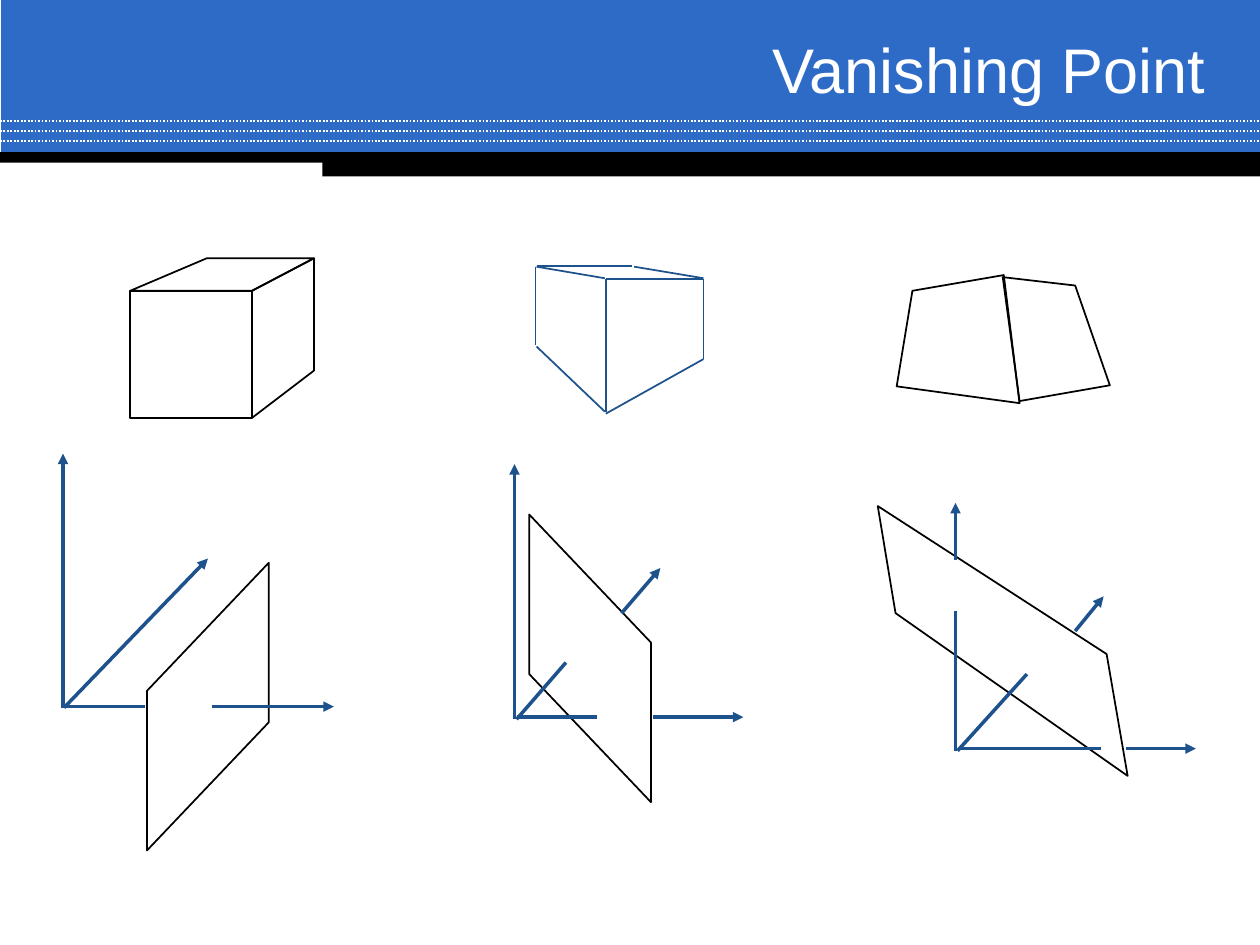
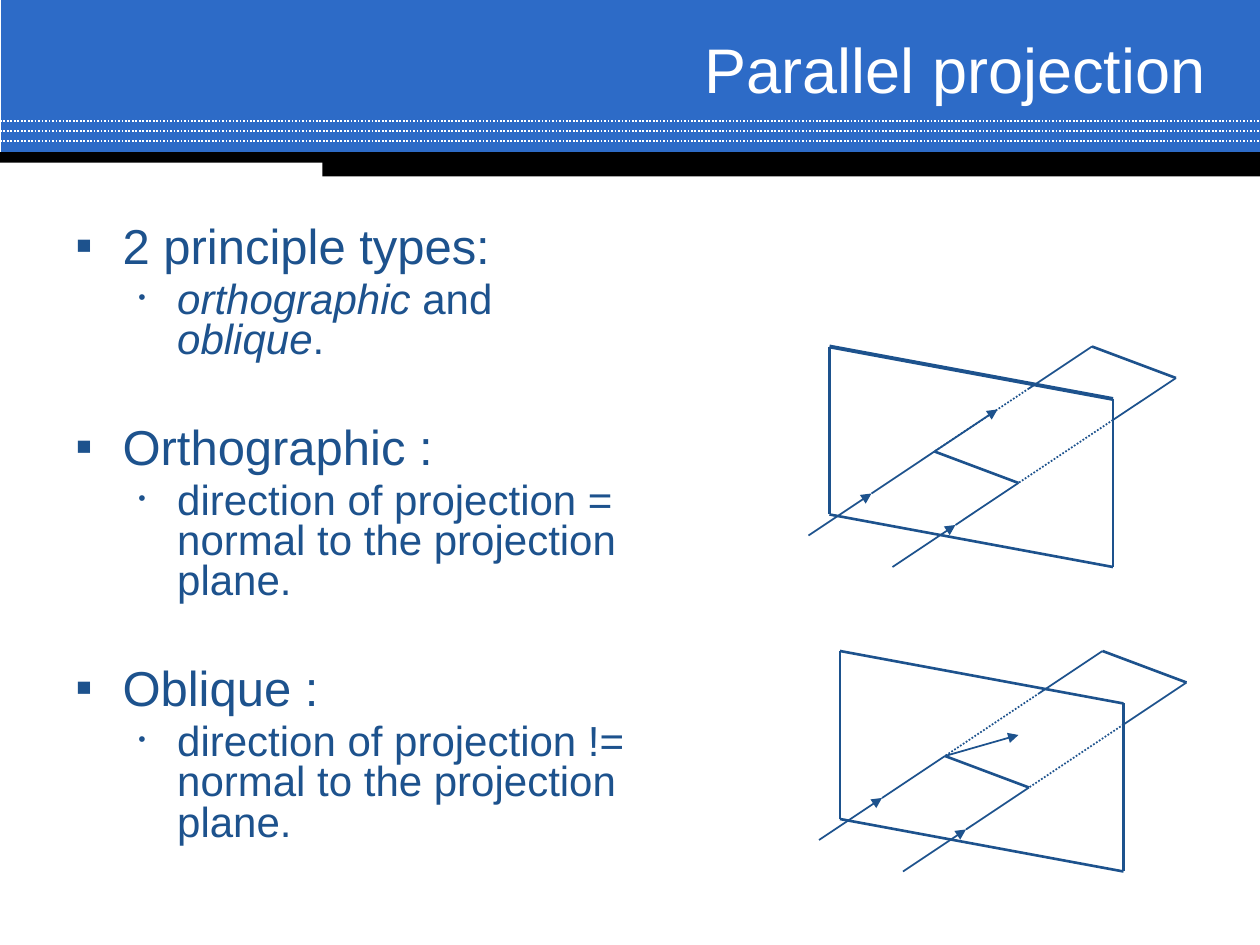
from lxml.etree import SubElement
from pptx import Presentation
from pptx.dml.color import RGBColor
from pptx.enum.dml import MSO_LINE
from pptx.enum.shapes import MSO_CONNECTOR, MSO_SHAPE
from pptx.enum.text import MSO_ANCHOR, PP_ALIGN
from pptx.oxml.ns import qn
from pptx.util import Emu, Inches, Pt

# Shared look and a grid of 120 columns by 90 rows
NAVY, BLUE, BLACK, WHITE = "1D528D", "2D6BC7", "000000", "FFFFFF"
FONT = "Arial"
color = RGBColor.from_string

deck = Presentation()
deck.slide_width, deck.slide_height = Inches(10), Inches(7.5)
CELL = deck.slide_width / 120


def cells(*counts):
    return [Emu(round(count * CELL)) for count in counts]


def draw_line(page, ends, hue=NAVY, weight=1, arrow=False, dotted=False):
    line = page.shapes.add_connector(MSO_CONNECTOR.STRAIGHT, *cells(*ends))
    line.line.color.rgb = color(hue)
    line.line.width = Pt(weight)
    if dotted:
        line.line.dash_style = MSO_LINE.ROUND_DOT
    properties = line._element.spPr
    if arrow:
        SubElement(properties.find(qn("a:ln")), qn("a:tailEnd"), type="triangle")
    SubElement(properties, qn("a:effectLst"))


# Header band and title on every slide
pages = []
for title in ("Vanishing Point", "Parallel projection"):
    page = deck.slides.add_slide(deck.slide_layouts[6])
    pages.append(page)
    for hue, area in ((BLUE, (0.12, 0, 119.88, 14.76)),
                      (BLACK, (0, 14.5, 120, 1)),
                      (BLACK, (30.7, 14.9, 89.3, 1.9))):
        band = page.shapes.add_shape(MSO_SHAPE.RECTANGLE, *cells(*area))
        band.shadow.inherit = False
        band.fill.solid()
        band.fill.fore_color.rgb = color(hue)
        band.line.fill.background()
    for row in (11.5, 12.5, 13.45):
        draw_line(page, (0, row, 120, row), WHITE, dotted=True)

    box = page.shapes.add_textbox(*cells(33, 3, 83, 7))
    box.text_frame.word_wrap = True
    box.text_frame.vertical_anchor = MSO_ANCHOR.MIDDLE
    para = box.text_frame.paragraphs[0]
    para.text = title
    para.alignment = PP_ALIGN.RIGHT
    para.font.name, para.font.size = FONT, Pt(36)
    para.font.color.rgb = color(WHITE)

vanishing, parallel = pages

# Vanishing point: faces of the solids, then the projection planes
outlines = (
    ((12.4, 27.7), (12.4, 39.8), (24, 39.8), (24, 27.7)),
    ((24, 39.8), (29.9, 35.3), (29.9, 24.6), (24, 27.7)),
    ((12.4, 27.7), (24, 27.7), (29.9, 24.6), (19.7, 24.6)),
    ((97.1, 38.4), (85.4, 36.8), (86.9, 27.7), (95.6, 26.2)),
    ((95.5, 26.4), (102.4, 27.2), (105.7, 36.7), (97.1, 38.2)),
    ((25.6, 68.8), (14, 81), (14, 65.8), (25.6, 53.6)),
    ((50.4, 64.2), (62, 76.4), (62, 61.2), (50.4, 49)),
    ((107.4, 73.9), (85.3, 58.4), (83.6, 48.2), (105.4, 62.3)),
)
for first, *others in outlines:
    builder = vanishing.shapes.build_freeform(*cells(*first))
    builder.add_line_segments([cells(*point) for point in others], close=True)
    face = builder.convert_to_shape()
    face.shadow.inherit = False
    face.fill.background()
    face.line.color.rgb = color(BLACK)
    face.line.width = Pt(1)

# Edges of the middle solid
for edge in (
    (57.7, 26.6, 57.7, 39.2), (51, 25.4, 51, 32.9), (67, 26.6, 67, 34.2),
    (51.1, 25.4, 57.6, 26.5), (51.1, 33, 57.6, 39.2), (57.7, 26.6, 67, 26.6),
    (57.7, 39.4, 67, 34.2), (51.1, 25.3, 60.2, 25.3), (60.4, 25.4, 67, 26.5),
):
    draw_line(vanishing, edge)

# Axes: plain parts up to a plane, arrows beyond it
plain_axes = (
    (6.1, 67.3, 13.8, 67.3),
    (49.2, 68.3, 56.9, 68.3), (49.2, 68.5, 53.9, 63.1),
    (91, 71.5, 91, 58.2), (91.2, 71.5, 97.8, 64.2), (91.2, 71.3, 104.9, 71.3),
)
arrow_axes = (
    (6, 67.4, 6, 43.2), (6.1, 67.4, 19.8, 53.2), (20.2, 67.3, 31.8, 67.3),
    (49, 68.5, 49, 44.2), (62.2, 68.3, 70.8, 68.3), (59.2, 58.4, 62.9, 54.1),
    (91, 53.3, 91, 47.9), (102.4, 60.1, 105.1, 56.8), (107.2, 71.3, 113.9, 71.3),
)
for axes, arrow in ((plain_axes, False), (arrow_axes, True)):
    for axis in axes:
        draw_line(vanishing, axis, weight=2, arrow=arrow)

# Parallel projection: types and their definitions (text, italic)
topics = (
    ("2 principle types:",
     (("orthographic", True), (" and ", False), ("oblique", True), (".", False))),
    ("Orthographic :",
     (("direction of projection = normal to the projection plane.", False),)),
    ("Oblique :",
     (("direction of projection != normal to the projection plane.", False),)),
)
box = parallel.shapes.add_textbox(*cells(6, 21, 55, 62))
frame = box.text_frame
frame.word_wrap = True
for number, (heading, definition) in enumerate(topics):
    for level, spans in enumerate((((heading, False),), definition)):
        para = frame.add_paragraph() if number or level else frame.paragraphs[0]
        para.level = level
        para.line_spacing = 0.8
        size, indent, hang, bullet = ((28, 4.5, 4.5, "▪"), (24, 9.7, 3.7, "•"))[level]
        para.space_before = Pt(37 if number and not level else size / 5)
        properties = para._p.get_or_add_pPr()
        left, back = cells(indent, -hang)
        properties.set("marL", str(left))
        properties.set("indent", str(back))
        if level:
            SubElement(properties, qn("a:buSzPct"), val="50000")
        SubElement(properties, qn("a:buFont"), typeface=FONT)
        SubElement(properties, qn("a:buChar"), char=bullet)
        para.font.name, para.font.size = FONT, Pt(size)
        para.font.color.rgb = color(NAVY)
        for text, italic in spans:
            span = para.add_run()
            span.text = text
            if italic:
                span.font.italic = True

# Two diagrams alike but for the top edge and the plane's normal
frame_edges = ((0, 16, 27, 21), (0, 0, 0, 16), (27, 5, 27, 21),
               (10, 10, 18, 13), (25, 0, 33, 3))
hidden_rays = ((19, 4, 10, 10), (27, 7, 18, 13))
visible_rays = ((4, 14, 10, 10), (12, 17, 18, 13), (19, 4, 25, 0), (27, 7, 33, 3))
incoming_rays = ((-2, 18, 4, 14), (6, 21, 12, 17))
for left, top, top_weight, normal in ((79, 33, 2.25, (10, 10, 16, 6)),
                                      (80, 62, 1.5, (10, 10, 17, 8))):
    for lines, weight, arrow, dotted in (
        (((0, 0, 27, 5),), top_weight, False, False),
        (frame_edges, 1.5, False, False),
        (hidden_rays, 1, False, True),
        (visible_rays, 1, False, False),
        (incoming_rays + (normal,), 1, True, False),
    ):
        for x1, y1, x2, y2 in lines:
            draw_line(parallel, (left + x1, top + y1, left + x2, top + y2),
                      weight=weight, arrow=arrow, dotted=dotted)

deck.save("out.pptx")
